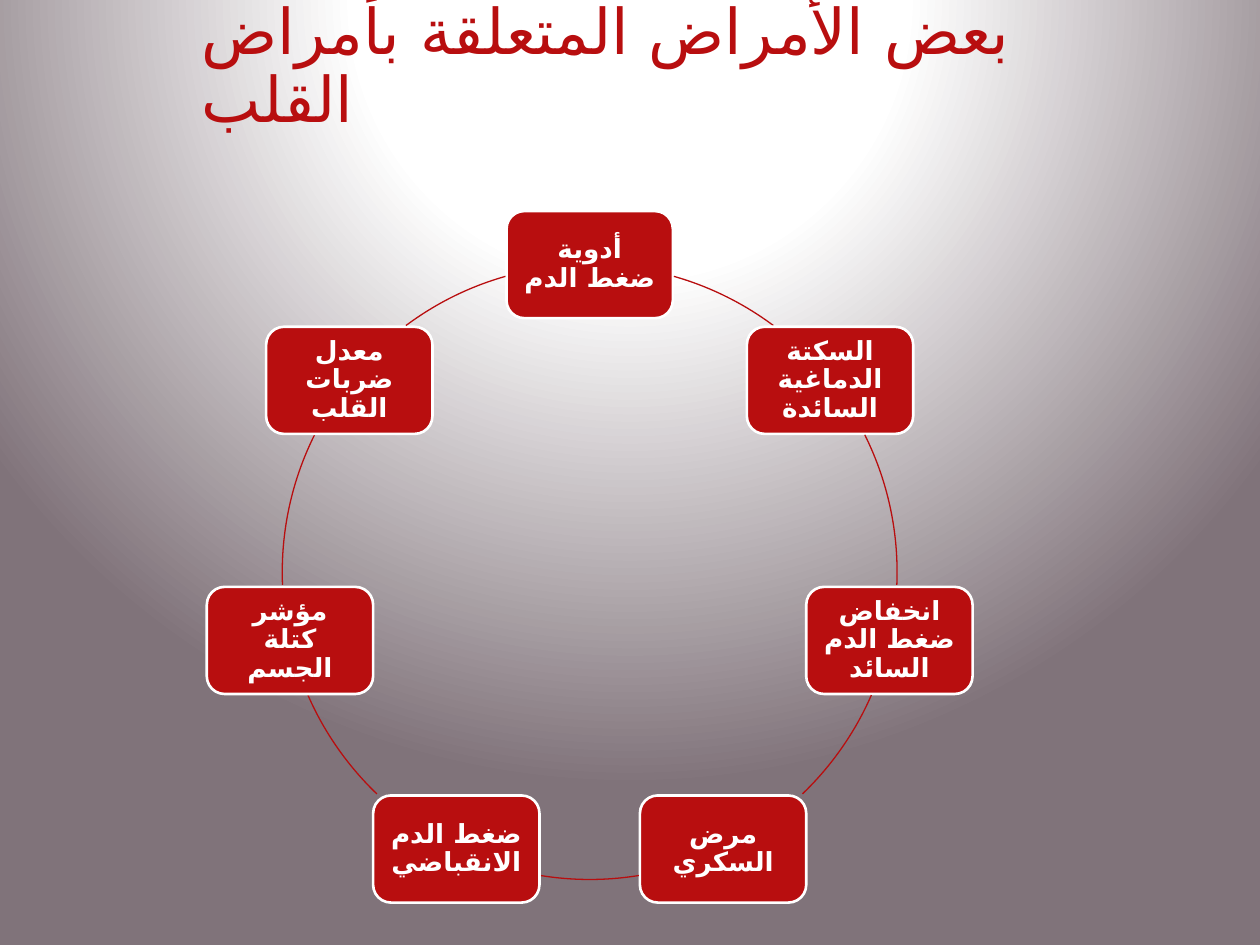
from dataclasses import dataclass
from math import cos, radians, sin

from pptx import Presentation
from pptx.dml.color import RGBColor
from pptx.enum.shapes import MSO_SHAPE
from pptx.enum.text import MSO_ANCHOR, MSO_AUTO_SIZE, PP_ALIGN
from pptx.oxml import parse_xml
from pptx.oxml.ns import nsdecls, qn
from pptx.util import Inches, Pt
from lxml.etree import SubElement


@dataclass(frozen=True)
class Theme:
    red: str = "B80E0F"
    white: str = "FFFFFF"
    edge: str = "80737A"
    font: str = "Roboto Condensed"
    arabic_font: str = "DejaVu Sans"
    title_size: int = 36
    box_size: int = 15


THEME = Theme()
TITLE = "بعض الأمراض المتعلقة بأمراض القلب"
CONDITIONS = [
    "أدوية ضغط الدم",
    "السكتة الدماغية السائدة",
    "انخفاض ضغط الدم السائد",
    "مرض السكري",
    "ضغط الدم الانقباضي",
    "مؤشر كتلة الجسم",
    "معدل ضربات القلب",
]
CENTER_X, CENTER_Y, RADIUS = 4.68, 4.54, 2.44
BOX_WIDTH, BOX_HEIGHT = 1.32, 0.85
# Visible arcs in degrees, clockwise from the right; the left half mirrors the right.
RIGHT_ARCS = [(-74.1, -53.3), (-26.5, 2.4), (23.6, 46.2)]
BOTTOM_ARC = (80.8, 99.2)
LEFT_ARCS = [(180 - end, 180 - start) for start, end in reversed(RIGHT_ARCS)]
ARCS = [*RIGHT_ARCS, BOTTOM_ARC, *LEFT_ARCS]


def set_background(slide):
    """Fill the background with a circular gradient centred above the slide."""
    slide.background.fill.gradient()
    stops = "".join(
        f'<a:gs pos="{position * 1000}"><a:srgbClr val="{color}"/></a:gs>'
        for position, color in ((0, THEME.white), (35, THEME.white), (100, THEME.edge))
    )
    gradient = parse_xml(
        f'<a:gradFill {nsdecls("a")} rotWithShape="1"><a:gsLst>{stops}</a:gsLst>'
        '<a:path path="circle">'
        '<a:fillToRect l="50000" t="-80000" r="50000" b="180000"/>'
        "</a:path></a:gradFill>"
    )
    linear = slide.element.xpath("./p:cSld/p:bg/p:bgPr/a:gradFill")[0]
    linear.getparent().replace(linear, gradient)


def write_text(shape, text, *, size, color, bold=False, align=PP_ALIGN.CENTER, inset=0.1):
    """Write one right-to-left paragraph, centred vertically."""
    frame = shape.text_frame
    frame.word_wrap = True
    frame.auto_size = MSO_AUTO_SIZE.NONE
    frame.vertical_anchor = MSO_ANCHOR.MIDDLE
    frame.margin_left = frame.margin_right = Inches(inset)
    frame.margin_top = frame.margin_bottom = Inches(inset / 2)
    paragraph = frame.paragraphs[0]
    paragraph.alignment = align
    paragraph.line_spacing = 0.9
    paragraph._p.get_or_add_pPr().set("rtl", "1")
    run = paragraph.add_run()
    run.text = text
    run.font.size = Pt(size)
    run.font.bold = bold
    run.font.color.rgb = RGBColor.from_string(color)
    run.font.name = THEME.font
    SubElement(run._r.get_or_add_rPr(), qn("a:cs")).set("typeface", THEME.arabic_font)


def set_line(shape, color, width):
    shape.shadow.inherit = False
    shape.line.color.rgb = RGBColor.from_string(color)
    shape.line.width = Pt(width)


def add_title(slide):
    title = slide.shapes.title
    title.left, title.top = Inches(1.5), Inches(0)
    title.width, title.height = Inches(7.08), Inches(1.08)
    write_text(title, TITLE, size=THEME.title_size, color=THEME.red, align=PP_ALIGN.LEFT)


def add_condition_box(shapes, text, angle):
    """Add a box centred on the ring at the given angle in degrees."""
    left = CENTER_X + RADIUS * cos(radians(angle)) - BOX_WIDTH / 2
    top = CENTER_Y + RADIUS * sin(radians(angle)) - BOX_HEIGHT / 2
    box = shapes.add_shape(
        MSO_SHAPE.ROUNDED_RECTANGLE,
        Inches(left), Inches(top), Inches(BOX_WIDTH), Inches(BOX_HEIGHT),
    )
    box.fill.solid()
    box.fill.fore_color.rgb = RGBColor.from_string(THEME.red)
    set_line(box, THEME.white, 1.5)
    write_text(box, text, size=THEME.box_size, color=THEME.white, bold=True)


def add_ring_arc(shapes, start, end):
    arc = shapes.add_shape(
        MSO_SHAPE.ARC,
        Inches(CENTER_X - RADIUS), Inches(CENTER_Y - RADIUS),
        Inches(2 * RADIUS), Inches(2 * RADIUS),
    )
    # Angles are stored in 1/60000 degree, adjustments in 1/100000.
    for index, angle in enumerate((start, end)):
        arc.adjustments[index] = angle % 360 * 0.6
    arc.fill.background()
    set_line(arc, THEME.red, 0.75)


def add_cycle(slide):
    shapes = slide.shapes.add_group_shape().shapes
    step = 360 / len(CONDITIONS)
    for index, (text, arc) in enumerate(zip(CONDITIONS, ARCS)):
        add_condition_box(shapes, text, -90 + index * step)
        add_ring_arc(shapes, *arc)


def main():
    presentation = Presentation()
    presentation.slide_width, presentation.slide_height = Inches(10), Inches(7.5)
    slide = presentation.slides.add_slide(presentation.slide_layouts[5])
    set_background(slide)
    add_title(slide)
    add_cycle(slide)
    presentation.save("out.pptx")


if __name__ == "__main__":
    main()
